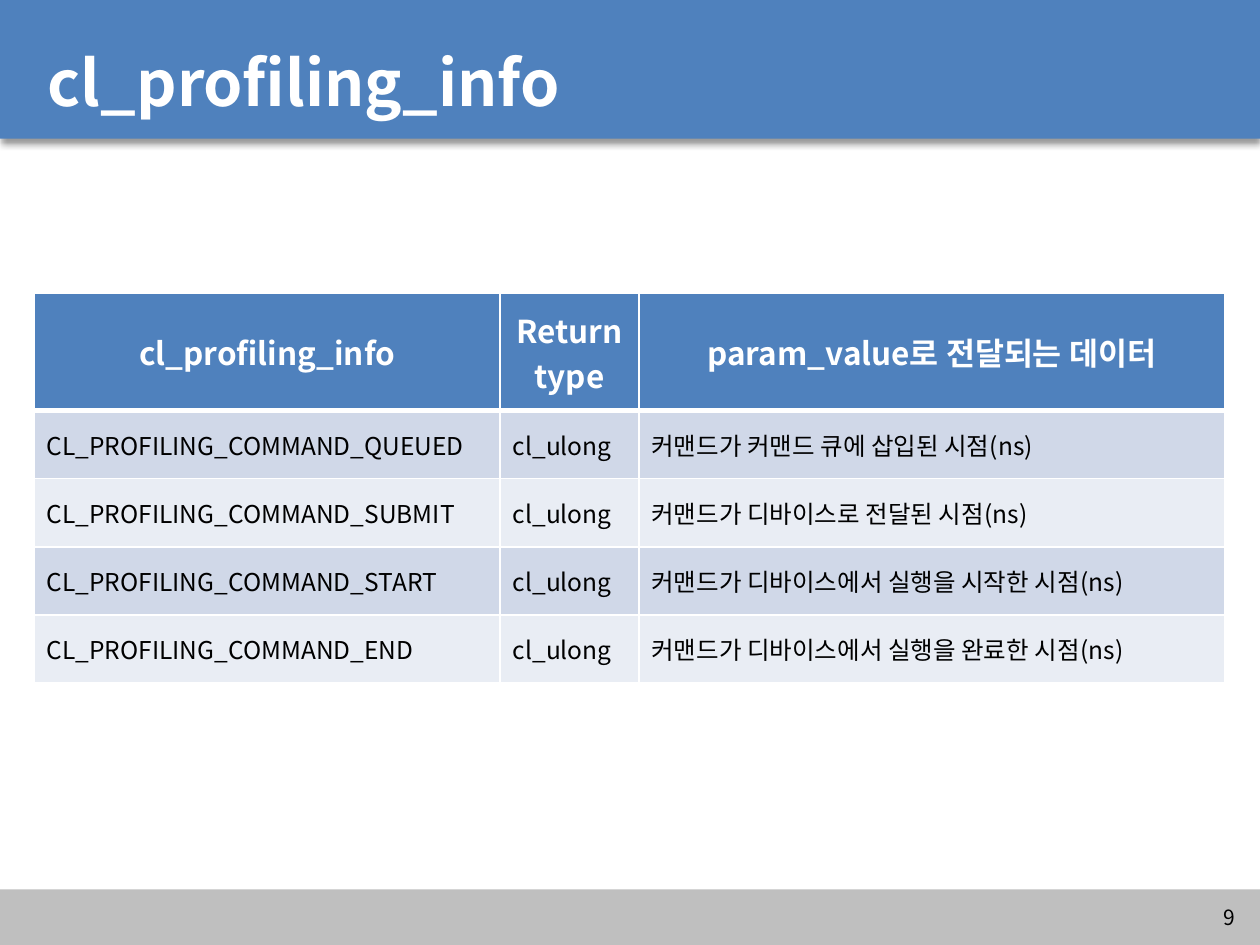
from lxml import etree
from pptx import Presentation, util as u
from pptx.dml.color import RGBColor
from pptx.enum import shapes, text
from pptx.oxml import ns

FONT = "Noto Sans CJK KR"
BLUE = RGBColor(0x4F, 0x81, 0xBD)
GRAY = RGBColor(0xBF, 0xBF, 0xBF)
WHITE = RGBColor(0xFF, 0xFF, 0xFF)
BLACK = RGBColor(0, 0, 0)
BANDS = (RGBColor(0xD0, 0xD8, 0xE8), RGBColor(0xE9, 0xED, 0xF4))

LEFT, CENTER, RIGHT = (text.PP_ALIGN.LEFT, text.PP_ALIGN.CENTER,
                       text.PP_ALIGN.RIGHT)
TITLE = {"size": u.Pt(36), "bold": True, "color": WHITE}
HEADER = {"size": u.Pt(18), "bold": True, "color": WHITE}
BODY = {"size": u.Pt(14), "bold": False, "color": BLACK}
NUMBER = {"size": u.Pt(12), "bold": False, "color": BLACK}

COLUMN_WIDTHS = (3.7, 1.1, 4.65)
HEADER_HEIGHT, ROW_HEIGHT = 0.93, 0.54
HEADINGS = ("cl_profiling_info", "Return type", "param_value로 전달되는 데이터")
COMMANDS = (
    ("QUEUED", "커맨드가 커맨드 큐에 삽입된 시점(ns)"),
    ("SUBMIT", "커맨드가 디바이스로 전달된 시점(ns)"),
    ("START", "커맨드가 디바이스에서 실행을 시작한 시점(ns)"),
    ("END", "커맨드가 디바이스에서 실행을 완료한 시점(ns)"),
)


def add_child(parent, tag, **attributes):
    return etree.SubElement(parent, ns.qn(tag), attributes)


class SlideBuilder:
    """Holds the font and the current slide, and adds elements to it."""

    def __init__(self, page, font):
        self.page = page
        self.font = font

    def fill_text(self, frame, words, style, align):
        para = frame.paragraphs[0]
        para.alignment = align
        span = para.add_run()
        span.text = words
        formats = {"name": self.font, "size": style["size"], "bold": style["bold"]}
        for key, value in formats.items():
            setattr(span.font, key, value)
        span.font.color.rgb = style["color"]
        add_child(span.font._element, "a:ea", typeface=self.font)

    def bar(self, top, height, color):
        box = self.page.shapes.add_shape(
            shapes.MSO_SHAPE.RECTANGLE, 0, u.Inches(top),
            u.Inches(10), u.Inches(height))
        box.fill.solid()
        box.fill.fore_color.rgb = color
        box.line.fill.background()
        box.shadow.inherit = False
        return box

    def drop_shadow(self, box):
        effects = box._element.spPr.find(ns.qn("a:effectLst"))
        shadow = add_child(effects, "a:outerShdw", blurRad=str(u.Pt(4)),
                           dist=str(u.Pt(3)), dir="5400000", algn="t",
                           rotWithShape="0")
        color = add_child(shadow, "a:srgbClr", val="000000")
        add_child(color, "a:alpha", val="40000")

    def label(self, place, words, style, align=LEFT, inset=None):
        box = self.page.shapes.add_textbox(*map(u.Inches, place))
        frame = box.text_frame
        frame.word_wrap = True
        frame.vertical_anchor = text.MSO_ANCHOR.MIDDLE
        if inset is not None:
            for side in ("left", "top", "right", "bottom"):
                setattr(frame, f"margin_{side}", u.Inches(inset))
        self.fill_text(frame, words, style, align)

    def borders(self, cell, top, bottom):
        """Draw white cell borders; top and bottom are widths in points."""
        properties = cell._tc.get_or_add_tcPr()
        widths = {"a:lnL": 1, "a:lnR": 1, "a:lnT": top, "a:lnB": bottom}
        for tag, width in widths.items():
            line = add_child(properties, tag, w=str(u.Pt(width)))
            add_child(add_child(line, "a:solidFill"), "a:srgbClr", val=str(WHITE))

    def table(self, left, top, rows):
        height = HEADER_HEIGHT + ROW_HEIGHT * (len(rows) - 1)
        table = self.page.shapes.add_table(
            len(rows), len(COLUMN_WIDTHS), u.Inches(left), u.Inches(top),
            u.Inches(sum(COLUMN_WIDTHS)), u.Inches(height)).table
        for column, width in zip(table.columns, COLUMN_WIDTHS):
            column.width = u.Inches(width)
        for index, row in enumerate(rows):
            header = index == 0
            table.rows[index].height = u.Inches(HEADER_HEIGHT if header else ROW_HEIGHT)
            for cell, words in zip(table.rows[index].cells, row):
                cell.vertical_anchor = text.MSO_ANCHOR.MIDDLE
                self.borders(cell, top=3 if index == 1 else 1,
                             bottom=3 if header else 1)
                cell.fill.solid()
                cell.fill.fore_color.rgb = BLUE if header else BANDS[(index - 1) % 2]
                self.fill_text(cell.text_frame, words, HEADER if header else BODY,
                               CENTER if header else LEFT)


def main():
    deck = Presentation()
    deck.slide_width, deck.slide_height = u.Inches(10), u.Inches(7.5)
    page = deck.slides.add_slide(deck.slide_layouts[6])
    builder = SlideBuilder(page, FONT)

    builder.bar(7.06, 0.44, GRAY)
    builder.drop_shadow(builder.bar(0, 1.1, BLUE))
    builder.label((0.28, 0.29, 9.45, 0.71), "cl_profiling_info", TITLE)
    rows = [HEADINGS] + [(f"CL_PROFILING_COMMAND_{state}", "cl_ulong", meaning)
                         for state, meaning in COMMANDS]
    builder.table(0.27, 2.33, rows)
    builder.label((9.09, 7.16, 0.71, 0.24), "9", NUMBER, RIGHT, inset=0)
    deck.save("out.pptx")


if __name__ == "__main__":
    main()
